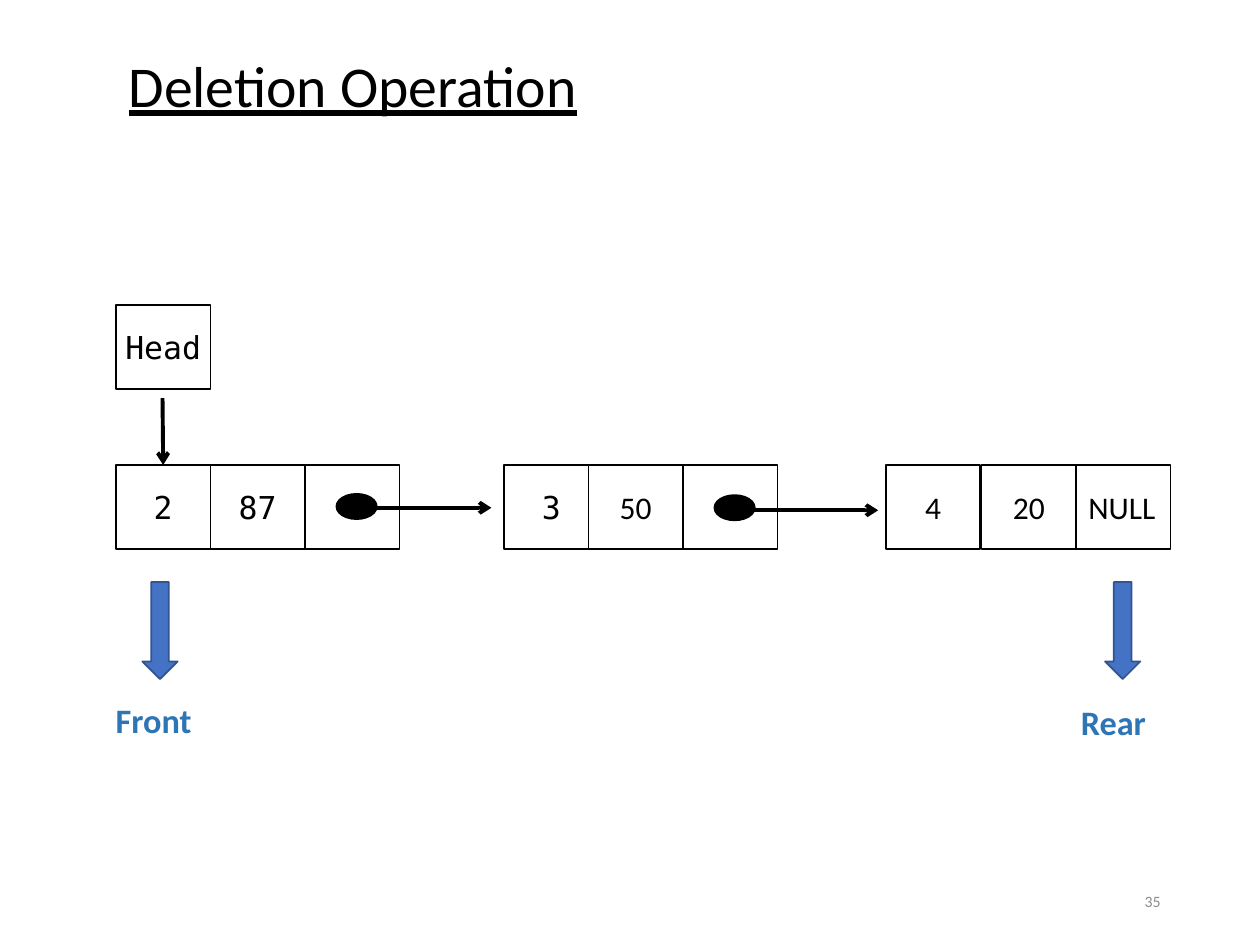
import pptx
import pptx.util
import pptx.dml.color
import pptx.enum.shapes
import pptx.enum.text
import pptx.oxml
import pptx.oxml.ns
from pptx.util import Inches

COLORS = {"black": "000000", "white": "FFFFFF", "label": "2E75B6",
          "arrow": "4472C4", "arrow_edge": "325491", "number": "8C8C8C"}
SHAPES = pptx.enum.shapes.MSO_SHAPE
ALIGN = pptx.enum.text.PP_ALIGN
MIDDLE = pptx.enum.text.MSO_ANCHOR.MIDDLE
SANS, MONO = "Calibri", "DejaVu Sans Mono"
CELL_W, CELL_H, NODE_TOP = 0.75, 0.67, 3.69


def set_text(frame, text, size, font, color, align=ALIGN.LEFT):
    para = frame.paragraphs[0]
    para.text = text
    para.alignment = align
    para.font.size = pptx.util.Pt(size)
    para.font.name = font
    para.font.color.rgb = pptx.dml.color.RGBColor.from_string(COLORS[color])
    return para


def add_filled(kind, left, top, width, height, fill, edge):
    shape = page.shapes.add_shape(kind, Inches(left), Inches(top), Inches(width), Inches(height))
    shape.shadow.inherit = False
    shape.fill.solid()
    shape.fill.fore_color.rgb = pptx.dml.color.RGBColor.from_string(COLORS[fill])
    shape.line.color.rgb = pptx.dml.color.RGBColor.from_string(COLORS[edge])
    shape.line.width = pptx.util.Pt(1)
    return shape


deck = pptx.Presentation()
deck.slide_width, deck.slide_height = Inches(10), Inches(7.5)
page = deck.slides.add_slide(deck.slide_layouts[5])

# Title
title = page.shapes.title
title.left, title.top, title.width, title.height = Inches(0.92), Inches(0.08), Inches(8.83), Inches(1.25)
title.text_frame.vertical_anchor = MIDDLE
para = set_text(title.text_frame, "Deletion Operation", 33, SANS, "black")
para.line_spacing = 0.9
para.font.underline = True

# Head box and the cells of the three nodes: left, top, text, font, alignment
cells = [
    (0.92, 2.42, "Head", MONO, ALIGN.CENTER),
    (0.92, NODE_TOP, "2", MONO, ALIGN.CENTER),
    (1.67, NODE_TOP, "87", MONO, ALIGN.CENTER),
    (2.42, NODE_TOP, "", SANS, ALIGN.CENTER),
    (4.00, NODE_TOP, "3", MONO, ALIGN.CENTER),
    (4.67, NODE_TOP, "50", SANS, ALIGN.CENTER),
    (5.42, NODE_TOP, "", SANS, ALIGN.CENTER),
    (7.03, NODE_TOP, "4", SANS, ALIGN.CENTER),
    (7.79, NODE_TOP, "20", SANS, ALIGN.CENTER),
    (8.54, NODE_TOP, "NULL", SANS, ALIGN.LEFT),
]
boxes = []
for left, top, text, font, align in cells:
    box = add_filled(SHAPES.RECTANGLE, left, top, CELL_W, CELL_H, "white", "black")
    if text:
        box.text_frame.word_wrap = False
        box.text_frame.vertical_anchor = MIDDLE
        set_text(box.text_frame, text, 18, font, "black", align)
    boxes.append(box)
front_cell = boxes[1]

# Pointer dots
for left, top in [(2.67, 3.92), (5.67, 3.93)]:
    add_filled(SHAPES.OVAL, left, top, 0.32, 0.2, "black", "black")

# Links between nodes, and from the head box to the first node
links = [(2.92, 4.03, 3.9, 4.03, None), (5.98, 4.05, 6.97, 4.05, None),
         (1.29, 3.16, 1.29, NODE_TOP, front_cell)]
for x1, y1, x2, y2, target in links:
    link = page.shapes.add_connector(pptx.enum.shapes.MSO_CONNECTOR.STRAIGHT,
                                     Inches(x1), Inches(y1), Inches(x2), Inches(y2))
    if target is not None:
        link.end_connect(target, 0)
    link.line.color.rgb = pptx.dml.color.RGBColor.from_string(COLORS["black"])
    link.line.width = pptx.util.Pt(2.25)
    tail = pptx.oxml.parse_xml(f'<a:tailEnd {pptx.oxml.ns.nsdecls("a")} type="arrow"/>')
    link.line._get_or_add_ln().append(tail)
    link._element.spPr.append(pptx.oxml.parse_xml(f'<a:effectLst {pptx.oxml.ns.nsdecls("a")}/>'))

# Front and rear markers with their labels
for arrow_left, label_left, label_top, text in [(1.13, 0.82, 5.5, "Front"), (8.77, 8.48, 5.52, "Rear")]:
    add_filled(SHAPES.DOWN_ARROW, arrow_left, 4.62, 0.28, 0.77, "arrow", "arrow_edge")
    label = page.shapes.add_textbox(Inches(label_left), Inches(label_top), Inches(0.93), Inches(0.4))
    label.text_frame.word_wrap = True
    set_text(label.text_frame, text, 19.6, SANS, "label").font.bold = True

# Slide number
number = page.shapes.add_textbox(Inches(7.06), Inches(6.95), Inches(2.25), Inches(0.4))
number.text_frame.word_wrap = True
number.text_frame.vertical_anchor = MIDDLE
set_text(number.text_frame, "35", 9, SANS, "number", ALIGN.RIGHT)

deck.save("out.pptx")
